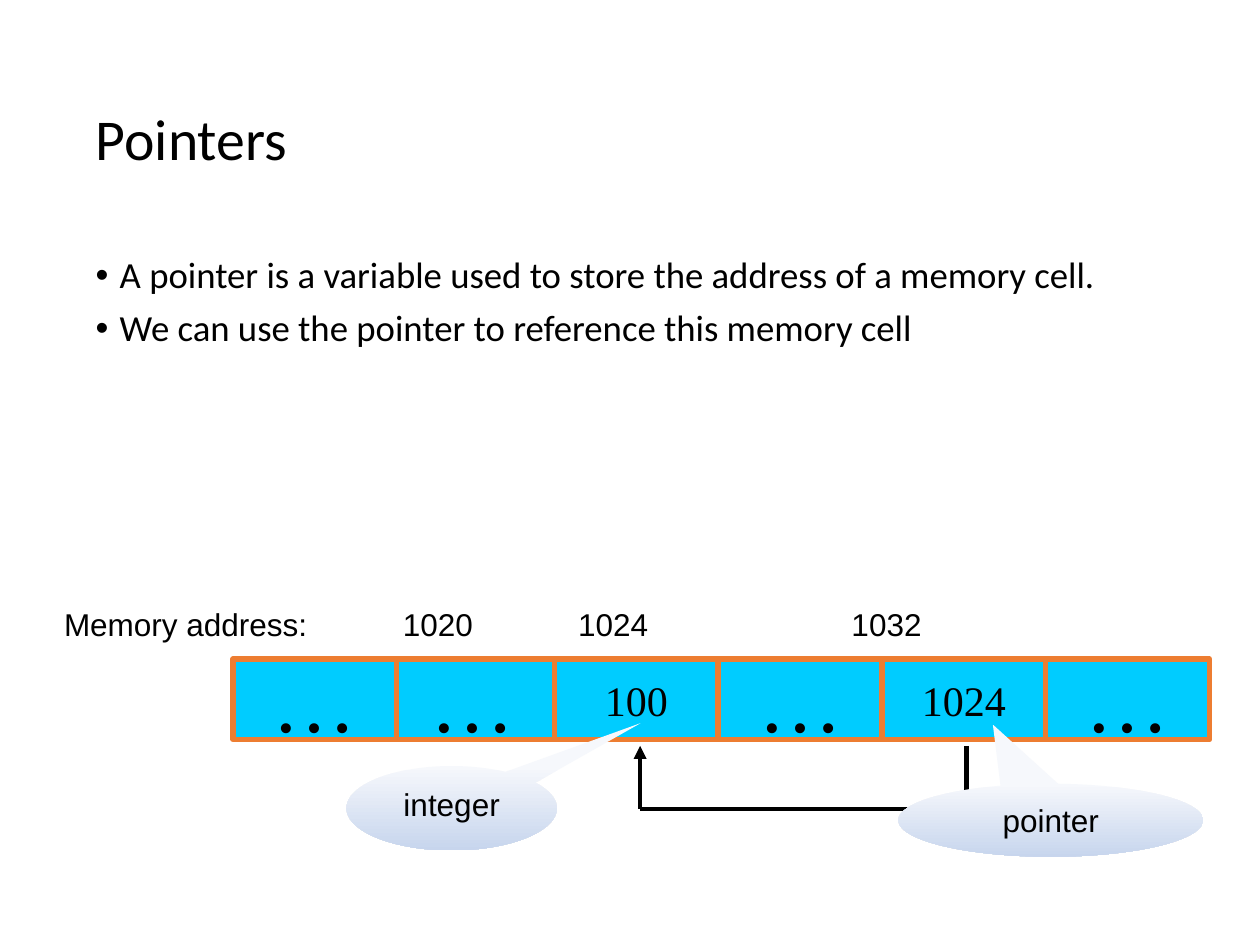
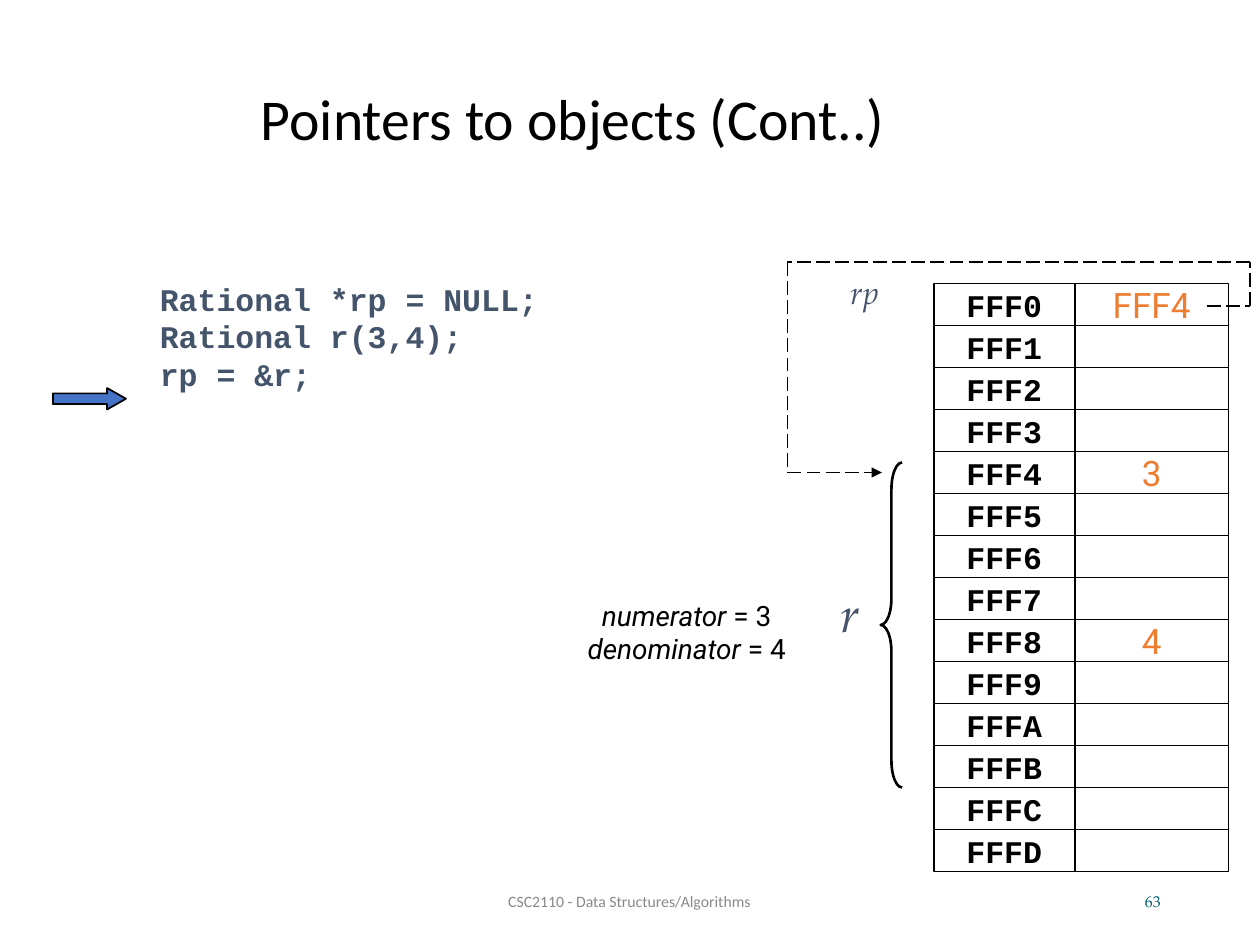
from dataclasses import dataclass, replace
from itertools import pairwise

from lxml import etree
from pptx import Presentation
from pptx.dml.color import RGBColor
from pptx.enum.dml import MSO_LINE
from pptx.enum.shapes import MSO_CONNECTOR, MSO_SHAPE
from pptx.enum.text import MSO_ANCHOR, PP_ALIGN
from pptx.oxml.ns import qn
from pptx.util import Inches, Pt

BLACK = RGBColor(0x00, 0x00, 0x00)
ORANGE = RGBColor(0xED, 0x7D, 0x31)
CYAN = RGBColor(0x00, 0xCC, 0xFF)
BLUE = RGBColor(0x44, 0x72, 0xC4)
SLATE = RGBColor(0x44, 0x54, 0x6A)
GREY = RGBColor(0x89, 0x89, 0x89)
TEAL = RGBColor(0x04, 0x5C, 0x75)
CALLOUT_COLORS = (RGBColor(0xF6, 0xF8, 0xFC), RGBColor(0xC7, 0xD5, 0xED))

LEFT, CENTER, RIGHT = PP_ALIGN.LEFT, PP_ALIGN.CENTER, PP_ALIGN.RIGHT
TOP, MIDDLE = MSO_ANCHOR.TOP, MSO_ANCHOR.MIDDLE
RECTANGLE = MSO_SHAPE.RECTANGLE
RIGHT_ARROW = MSO_SHAPE.RIGHT_ARROW
LEFT_BRACE = MSO_SHAPE.LEFT_BRACE
CALLOUT = MSO_SHAPE.OVAL_CALLOUT
STRAIGHT = MSO_CONNECTOR.STRAIGHT
LONG_DASH = MSO_LINE.LONG_DASH

NORMAL_INSETS = (0.1, 0.05)
TIGHT_INSETS = (0.07, 0.04)
FLAT_INSETS = (0, 0.05)


@dataclass(frozen=True)
class TextStyle:
    font: str
    size: float
    color: RGBColor = BLACK
    bold: bool = False
    italic: bool = False
    align: PP_ALIGN = LEFT
    line_spacing: float = 1.0
    space_before: float = 0


TITLE = TextStyle("Calibri", 33, line_spacing=0.9)
BODY = TextStyle("Calibri", 21, line_spacing=0.9, space_before=7.5)
LABEL = TextStyle("Arial", 18, space_before=4.5)
CALLOUT_LABEL = replace(LABEL, align=CENTER)
CELL_NUMBER = TextStyle("Times New Roman", 24, align=CENTER)
CELL_DOTS = replace(CELL_NUMBER, size=48)
CODE = TextStyle("Courier New", 18, SLATE, bold=True)
ADDRESS = replace(CODE, color=BLACK, align=CENTER)
VALUE = TextStyle("Roboto", 20, ORANGE, align=CENTER)
FIELDS = TextStyle("Roboto", 16, align=CENTER)
POINTER_NAME = TextStyle("TeX Gyre Pagella", 18, SLATE, italic=True, space_before=11.2)
OBJECT_NAME = replace(POINTER_NAME, size=28, space_before=17.5)
FOOTER = TextStyle("Calibri", 9, GREY, align=CENTER)
PAGE_NUMBER = TextStyle("TeX Gyre Pagella", 9, TEAL, align=RIGHT)


def inches(box):
    return [Inches(length) for length in box]


def add_run(paragraph, text, style):
    run = paragraph.add_run()
    run.text = text
    run.font.name = style.font
    run.font.size = Pt(style.size)
    run.font.bold = style.bold
    run.font.italic = style.italic
    run.font.color.rgb = style.color


def write(shape, lines, style, anchor=TOP, insets=NORMAL_INSETS, wrap=True):
    frame = shape.text_frame
    frame.word_wrap = wrap
    frame.vertical_anchor = anchor
    frame.margin_left = frame.margin_right = Inches(insets[0])
    frame.margin_top = frame.margin_bottom = Inches(insets[1])
    for index, runs in enumerate(lines):
        paragraph = frame.add_paragraph() if index else frame.paragraphs[0]
        paragraph.alignment = style.align
        paragraph.line_spacing = style.line_spacing
        paragraph.space_before = Pt(style.space_before)
        for text, run_style in runs:
            add_run(paragraph, text, run_style)
    return frame


def plain(*texts, style):
    return [[(text, style)] for text in texts]


def add_text(slide, box, texts, style, **options):
    textbox = slide.shapes.add_textbox(*inches(box))
    return write(textbox, plain(*texts, style=style), style, **options)


def add_figure(slide, kind, box, fill=None, line=None, width=1):
    shape = slide.shapes.add_shape(kind, *inches(box))
    shape.shadow.inherit = False
    if fill is None:
        shape.fill.background()
    else:
        shape.fill.solid()
        shape.fill.fore_color.rgb = fill
    if line is None:
        shape.line.fill.background()
    else:
        shape.line.color.rgb = line
        shape.line.width = Pt(width)
    return shape


def add_path(shapes, points, width, dash=None):
    for start, end in pairwise(points):
        connector = shapes.add_connector(STRAIGHT, *inches(start + end))
        connector.line.color.rgb = BLACK
        connector.line.width = Pt(width)
        if dash is not None:
            connector.line.dash_style = dash
        if end == points[-1]:
            outline = connector.line._get_or_add_ln()
            etree.SubElement(outline, qn("a:tailEnd"), type="triangle")
        etree.SubElement(connector._element.spPr, qn("a:effectLst"))


def add_title(slide, box, text):
    add_text(slide, box, [text], TITLE, anchor=MIDDLE, insets=TIGHT_INSETS)


def add_bullets(slide, box, texts):
    frame = add_text(slide, box, texts, BODY, insets=TIGHT_INSETS)
    for paragraph in frame.paragraphs:
        properties = paragraph._p.get_or_add_pPr()
        properties.set("marL", str(Inches(0.19)))
        properties.set("indent", str(-Inches(0.19)))
        etree.SubElement(properties, qn("a:buFont"), typeface="Arial")
        etree.SubElement(properties, qn("a:buChar"), char="•")


def add_footer(slide, top, page):
    add_text(slide, (3.31, top, 3.37, 0.4), ["CSC2110 - Data Structures/Algorithms"],
             FOOTER, anchor=MIDDLE)
    add_text(slide, (7.06, top, 2.25, 0.4), [page], PAGE_NUMBER, anchor=MIDDLE)


def add_callout(slide, box, text, tip):
    callout = add_figure(slide, CALLOUT, box)
    callout.adjustments[0], callout.adjustments[1] = tip
    callout.fill.gradient()
    callout.fill.gradient_angle = 270
    for position, (stop, color) in enumerate(zip(callout.fill.gradient_stops, CALLOUT_COLORS)):
        stop.color.rgb = color
        stop.position = position
    write(callout, plain(text, style=CALLOUT_LABEL), CALLOUT_LABEL)


def add_memory_strip(slide, left, top):
    cell_width, cell_height, overlap = 1.3, 0.64, 0.05
    contents = ["…", "…", "100", "…", "1024", "…"]
    for index, content in reversed(list(enumerate(contents))):
        shift = index * cell_width - (overlap if index else 0)
        cell = add_figure(slide, RECTANGLE, (left + shift, top, cell_width, cell_height),
                          CYAN, ORANGE, 3)
        style = CELL_DOTS if content == "…" else CELL_NUMBER
        write(cell, plain(content, style=style), style, MIDDLE, wrap=False)

    labels = [("Memory address:", -1.44, 2.88), ("1020", 1.25, 1.06),
              ("1024", 2.64, 1.06), ("1032", 4.81, 1.5)]
    for text, shift, width in labels:
        add_text(slide, (left + shift, top - 0.48, width, 0.4), [text], LABEL)

    target, source = left + 3.23, left + 5.82
    upper, lower = top + 0.69, top + 1.19
    add_path(slide.shapes, [(source, upper), (source, lower),
                            (target, lower), (target, upper)], 2.5)
    add_callout(slide, (left + 0.9, top + 0.85, 1.67, 0.67), "integer", (0.9, -1.01))
    add_callout(slide, (left + 5.28, top + 0.99, 2.42, 0.58), "pointer", (-0.19, -1.31))


def add_memory_table(slide, left, top):
    address_width, value_width, row_height = 1.12, 1.22, 1 / 3
    values = {0: "FFF4", 4: "3", 8: "4"}
    for row in range(14):
        row_top = top + row * row_height
        cells = [(left, address_width, f"FFF{row:X}", ADDRESS),
                 (left + address_width, value_width, values.get(row), VALUE)]
        for cell_left, width, text, style in cells:
            cell = add_figure(slide, RECTANGLE, (cell_left, row_top, width, row_height),
                              line=BLACK)
            if text:
                write(cell, plain(text, style=style), style, MIDDLE, wrap=False)


def add_code(slide, left, top):
    add_text(slide, (left, top, 4.92, 1.67),
             ["Rational *rp = NULL;", "Rational r(3,4);", "rp = &r;"], CODE)
    marker = add_figure(slide, RIGHT_ARROW, (left - 0.75, top + 0.91, 0.58, 0.17),
                        BLUE, BLACK)
    marker.adjustments[1] = 0.88


def add_object_label(slide, left, top):
    brace = add_figure(slide, LEFT_BRACE, (left + 2.5, top, 0.17, 2.58), line=BLACK, width=1.5)
    brace.adjustments[0] = 1.25
    fields = slide.shapes.add_textbox(*inches((left, top + 1.03, 1.92, 0.64)))
    italic = replace(FIELDS, italic=True)
    lines = [[(name, italic), (f" = {value}", FIELDS)]
             for name, value in (("numerator", 3), ("denominator", 4))]
    write(fields, lines, FIELDS)
    add_text(slide, (left + 2.18, top + 0.91, 0.33, 0.57), ["r"], OBJECT_NAME,
             insets=FLAT_INSETS)


def add_pointer_link(slide, left, top):
    right = left + 3.67
    link = slide.shapes.add_group_shape()
    add_path(link.shapes, [(right - 0.34, top + 0.35), (right, top + 0.35), (right, top),
                           (left, top), (left, top + 1.67), (left + 0.75, top + 1.67)],
             1, LONG_DASH)
    add_text(slide, (left + 0.5, top + 0.04, 0.75, 0.4), ["rp"], POINTER_NAME,
             insets=FLAT_INSETS)


def build_pointers_slide(slide):
    add_title(slide, (0.69, 0.4, 8.63, 1.45), "Pointers")
    add_bullets(slide, (0.69, 2, 8.63, 4.76),
                ["A pointer is a variable used to store the address of a memory cell.",
                 "We can use the pointer to reference this memory cell"])
    add_memory_strip(slide, 1.85, 5.23)


def build_objects_slide(slide):
    add_title(slide, (2, 0.35, 7.42, 1.23), "Pointers to objects (Cont..)")
    add_footer(slide, 6.95, "63")
    add_code(slide, 1.17, 2.17)
    add_memory_table(slide, 7.41, 2.25)
    add_object_label(slide, 4.49, 3.67)
    add_pointer_link(slide, 6.25, 2.08)


def main():
    presentation = Presentation()
    presentation.slide_width = Inches(10)
    presentation.slide_height = Inches(7.5)
    blank = presentation.slide_layouts[6]
    for build in (build_pointers_slide, build_objects_slide):
        build(presentation.slides.add_slide(blank))
    presentation.save("out.pptx")


if __name__ == "__main__":
    main()
